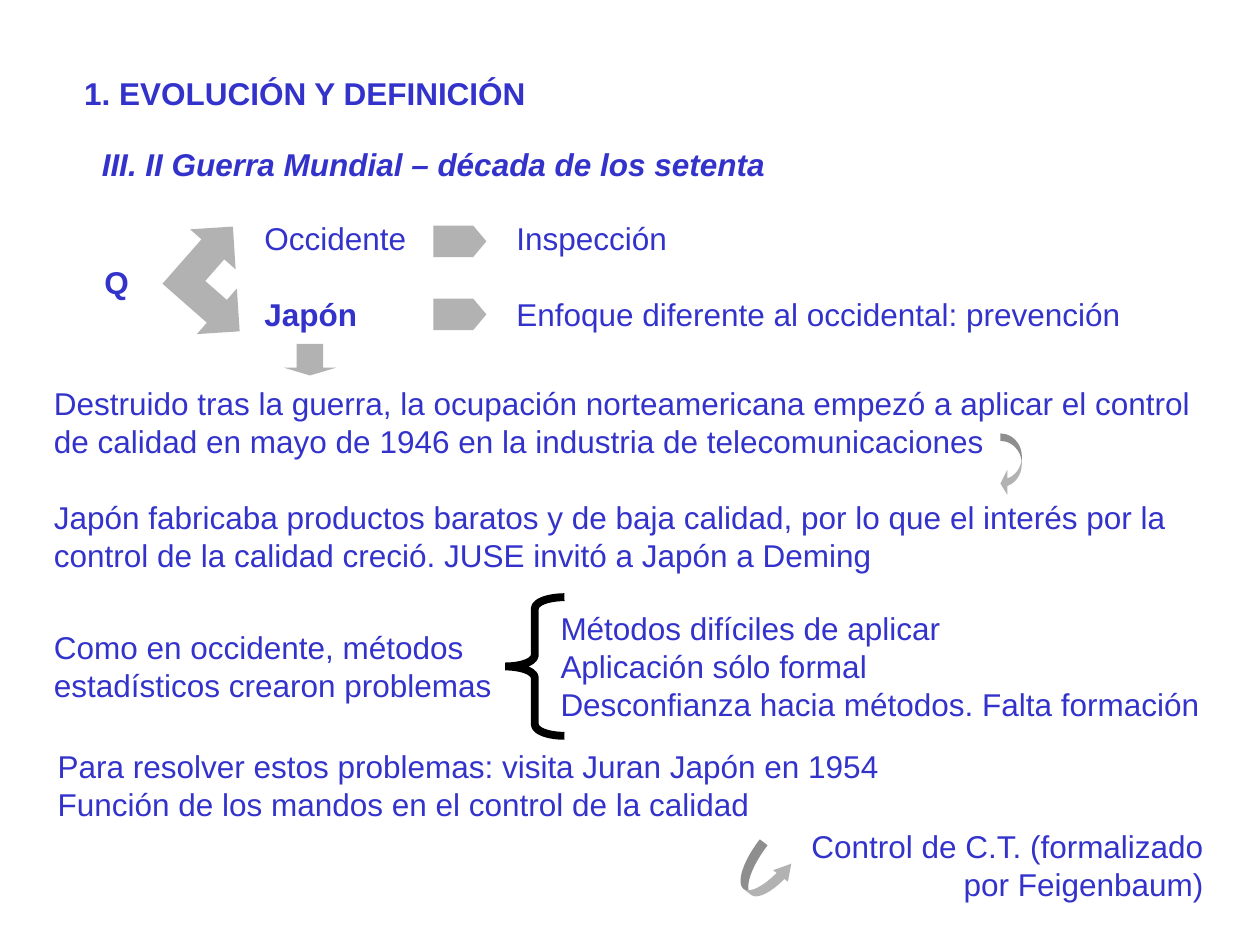
from pptx import Presentation
from pptx import util as u
from pptx.dml.color import RGBColor
from pptx.enum import shapes, text
from pptx.oxml.ns import qn
from lxml import etree

BLUE = RGBColor(0x33, 0x33, 0xCC)
GREY = RGBColor(0xB2, 0xB2, 0xB2)
BLACK = RGBColor(0, 0, 0)
WHITE = RGBColor(0xFF, 0xFF, 0xFF)

LINE = u.Pt(21.7)
FONT = dict(name="Arial", size=u.Pt(18), bold=False, italic=False)
SHAPE = shapes.MSO_SHAPE


def place(box, x, y, w, h):
    """Turn an offset and size inside a box into slide lengths."""
    return [u.Inches(v) for v in (box[0] + x, box[1] + y, w, h)]


def add_text(s, pos, paras, gap=0, align=text.PP_ALIGN.LEFT, tab=None, **fmt):
    """Each paragraph is a list of (words, format) runs or a plain string."""
    tf = s.shapes.add_textbox(*pos).text_frame
    tf.word_wrap = True
    tf.auto_size = text.MSO_AUTO_SIZE.SHAPE_TO_FIT_TEXT
    for i, runs in enumerate(paras):
        p = tf.add_paragraph() if i else tf.paragraphs[0]
        p.alignment, p.line_spacing = align, LINE
        if i and gap:
            p.space_before = gap
        if tab:
            stops = etree.SubElement(p._p.get_or_add_pPr(), qn("a:tabLst"))
            etree.SubElement(stops, qn("a:tab"), pos=str(u.Inches(tab)), algn="l")
        for words, extra in [(runs, {})] if isinstance(runs, str) else runs:
            r = p.add_run()
            r.text = words
            for key, value in {**FONT, **fmt, **extra}.items():
                setattr(r.font, key, value)
            r.font.color.rgb = BLUE


def add_arrow(s, kind, pos, adjust, rotation=0):
    sp = s.shapes.add_shape(kind, *pos)
    sp.shadow.inherit = False
    sp.fill.solid()
    sp.fill.fore_color.rgb = GREY
    sp.line.fill.background()
    sp.rotation = rotation
    for i, value in enumerate(adjust):
        sp.adjustments[i] = value


def headings(s, box):
    add_text(s, place(box, 0, 0, 3.9, 0.4), ["1. EVOLUCIÓN Y DEFINICIÓN"], bold=True)
    add_text(s, place(box, 0.14, 0.56, 8.87, 0.4),
             ["III. II Guerra Mundial – década de los setenta"], bold=True, italic=True)


def quality_split(s, box):
    # Q forks into two rows, each with its own pointer
    add_text(s, place(box, 0, 0.35, 0.45, 0.4), ["Q"], bold=True)
    add_text(s, place(box, 1.27, 0, 7.2, 1),
             ["Occidente\tInspección",
              [("Japón\t", dict(bold=True)),
               ("Enfoque diferente al occidental: prevención", {})]],
             gap=LINE, tab=2)
    add_arrow(s, SHAPE.LEFT_UP_ARROW, place(box, 0.56, 0.12, 0.83, 0.83),
              (0.29, 0.29, 0.29), 131.3)
    for row in range(2):
        add_arrow(s, SHAPE.PENTAGON, place(box, 2.71, 0.1 + 0.58 * row, 0.42, 0.25), (0.42,))
    add_arrow(s, SHAPE.DOWN_ARROW, place(box, 1.52, 1.04, 0.42, 0.25), (0.5, 0.25))


def japan_story(s, box):
    add_text(s, place(box, 0, 0, 9.33, 1.6),
             ["Destruido tras la guerra, la ocupación norteamericana empezó a aplicar el "
              "control de calidad en mayo de 1946 en la industria de telecomunicaciones",
              "Japón fabricaba productos baratos y de baja calidad, por lo que el interés por "
              "la control de la calidad creció. JUSE invitó a Japón a Deming"],
             gap=LINE)
    add_arrow(s, SHAPE.CURVED_LEFT_ARROW, place(box, 7.61, 0.44, 0.17, 0.5),
              (0.35, 1.2, 0.33))


def problems(s, box):
    add_text(s, place(box, 0, 0.19, 3.8, 0.7),
             ["Como en occidente, métodos estadísticos crearon problemas"])
    add_text(s, place(box, 4.02, 0.04, 5.45, 1),
             ["Métodos difíciles de aplicar", "Aplicación sólo formal",
              "Desconfianza hacia métodos. Falta formación"])
    # Brace between the cause and its three items
    sp = s.shapes.add_shape(SHAPE.LEFT_BRACE, *place(box, 3.68, 0, 0.47, 1.1))
    sp.shadow.inherit = False
    sp.fill.background()
    sp.line.color.rgb, sp.line.width = BLACK, u.Pt(4.5)
    etree.SubElement(sp.line._get_or_add_ln(), qn("a:bevel"))
    sp.adjustments[0] = 0.19


def outcome(s, box):
    add_text(s, place(box, 0, 0, 7, 0.7),
             ["Para resolver estos problemas: visita Juran Japón en 1954",
              "Función de los mandos en el control de la calidad"])
    add_text(s, place(box, 5.9, 0.63, 3.39, 0.7),
             ["Control de C.T. (formalizado por Feigenbaum)"], align=text.PP_ALIGN.RIGHT)
    add_arrow(s, SHAPE.CURVED_RIGHT_ARROW, place(box, 5.51, 0.86, 0.39, 0.39),
              (0.2, 0.38, 0.33), 307.8)


def main():
    prs = Presentation()
    prs.slide_width, prs.slide_height = u.Inches(10), u.Inches(7.5)
    s = prs.slides.add_slide(prs.slide_layouts[6])
    s.background.fill.solid()
    s.background.fill.fore_color.rgb = WHITE
    # Regions from top to bottom, by their top left corner
    headings(s, (0.57, 0.54))
    quality_split(s, (0.73, 1.69))
    japan_story(s, (0.33, 3))
    problems(s, (0.33, 4.74))
    outcome(s, (0.36, 5.88))
    prs.save("out.pptx")


if __name__ == "__main__":
    main()
